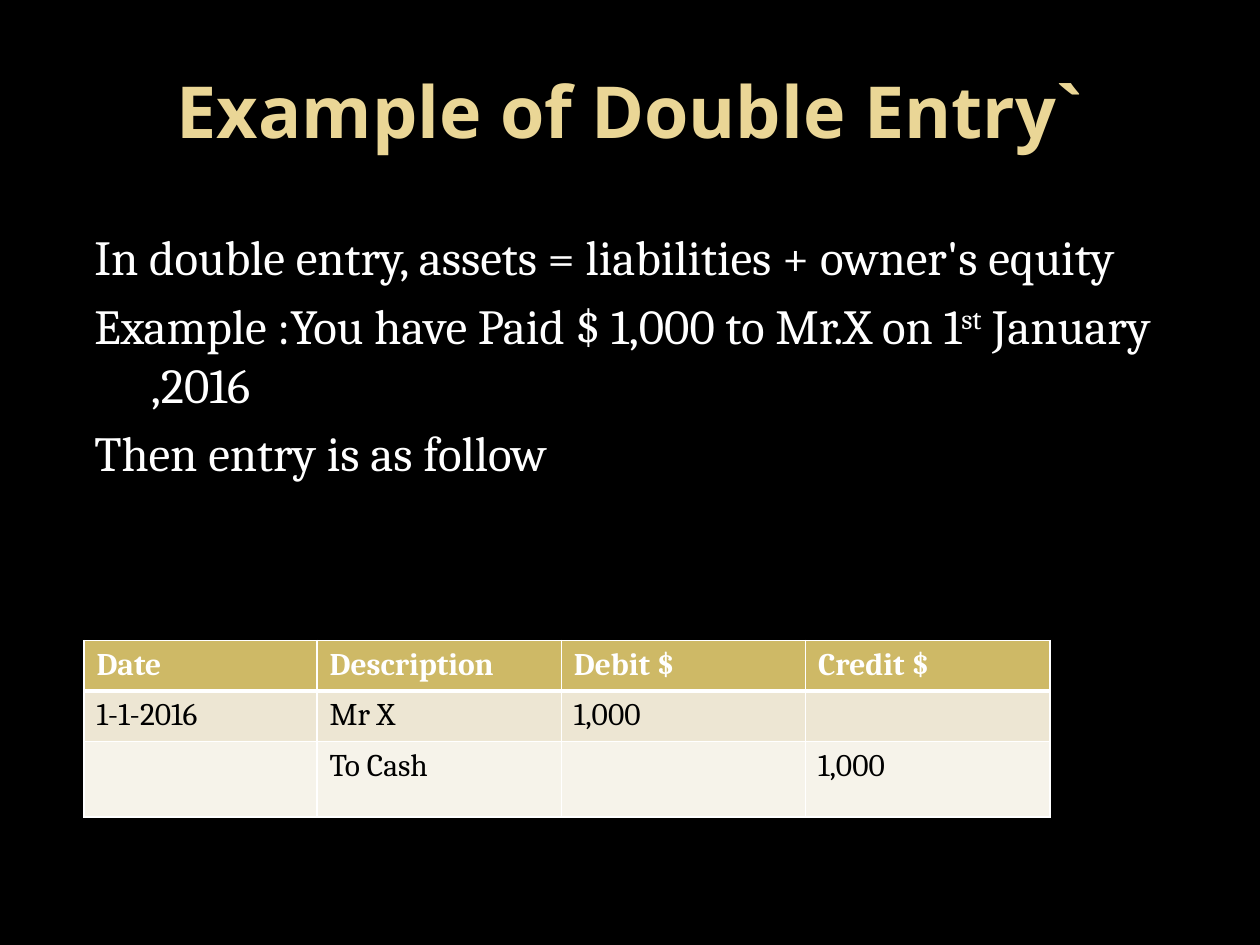
from dataclasses import dataclass
from lxml import etree
from pptx import Presentation
from pptx.dml.color import RGBColor
from pptx.enum.text import MSO_ANCHOR, PP_ALIGN
from pptx.oxml.ns import qn
from pptx.util import Pt

MIDDLE = MSO_ANCHOR.MIDDLE
CENTER = PP_ALIGN.CENTER


@dataclass
class Theme:
    back: str = "000000"
    gold: str = "EAD696"
    white: str = "FFFFFF"
    black: str = "000000"
    bands: tuple = ("CEB966", "EDE6D3", "F6F3EA")
    head: str = "Noto Sans"
    body: str = "Cambria"
    title: int = 41
    text: int = 28
    cell: int = 18


theme = Theme()


def style(run, face, size, color, bold=False):
    font = run.font
    font.name, font.size, font.bold = face, Pt(size), bold
    font.color.rgb = RGBColor.from_string(color)


def edge(cell, side, width):
    props = cell._tc.get_or_add_tcPr()
    line = etree.SubElement(props, qn(f"a:ln{side}"), w=str(Pt(width)))
    fill = etree.SubElement(line, qn("a:solidFill"))
    etree.SubElement(fill, qn("a:srgbClr"), val=theme.white)


deck = Presentation()
deck.slide_width, deck.slide_height = Pt(720), Pt(540)
slide = deck.slides.add_slide(deck.slide_layouts[6])
slide.background.fill.solid()
slide.background.fill.fore_color.rgb = RGBColor.from_string(theme.back)

title = slide.shapes.add_textbox(Pt(36), Pt(18), Pt(648), Pt(90)).text_frame
title.word_wrap = True
title.vertical_anchor = MIDDLE
title.text = "Example of Double Entry`"
title.paragraphs[0].alignment = CENTER
style(title.paragraphs[0].runs[0], theme.head, theme.title, theme.gold, True)

body = slide.shapes.add_textbox(Pt(36), Pt(126), Pt(648), Pt(370.8)).text_frame
body.word_wrap = True
lines = [
    ["In double entry, assets = liabilities + owner's equity"],
    ["Example :You have Paid $ 1,000 to Mr.X on 1", "st", " January ,2016"],
    ["Then entry is as follow"],
]
for i, parts in enumerate(lines):
    para = body.paragraphs[0] if i == 0 else body.add_paragraph()
    para.space_before = Pt(5.6)
    props = para._p.get_or_add_pPr()
    props.set("marL", str(Pt(43.2)))
    props.set("indent", str(Pt(-32.4)))
    for part in parts:
        run = para.add_run()
        run.text = part
        style(run, theme.body, theme.text, theme.white)
        if part == "st":
            run._r.get_or_add_rPr().set("baseline", "30000")

rows = [
    ["Date", "Description", "Debit $", "Credit $"],
    ["1-1-2016", "Mr X", "1,000", ""],
    ["", "To Cash", "", "1,000"],
]
widths = [133.2, 139.6, 139.6, 139.6]
heights = [28, 28, 43.2]
table = slide.shapes.add_table(
    len(rows), len(widths), Pt(48), Pt(366), Pt(sum(widths)), Pt(sum(heights))
).table
for col, width in zip(table.columns, widths):
    col.width = Pt(width)
for r, row in enumerate(rows):
    table.rows[r].height = Pt(heights[r])
    top = r == 0
    for c, text in enumerate(row):
        cell = table.cell(r, c)
        cell.text = text
        for run in cell.text_frame.paragraphs[0].runs:
            color = theme.white if top else theme.black
            style(run, theme.body, theme.cell, color, top)
        for side in "LRTB":
            thick = (top and side == "B") or (r == 1 and side == "T")
            edge(cell, side, 3 if thick else 1)
        cell.fill.solid()
        cell.fill.fore_color.rgb = RGBColor.from_string(theme.bands[r])

deck.save("out.pptx")
